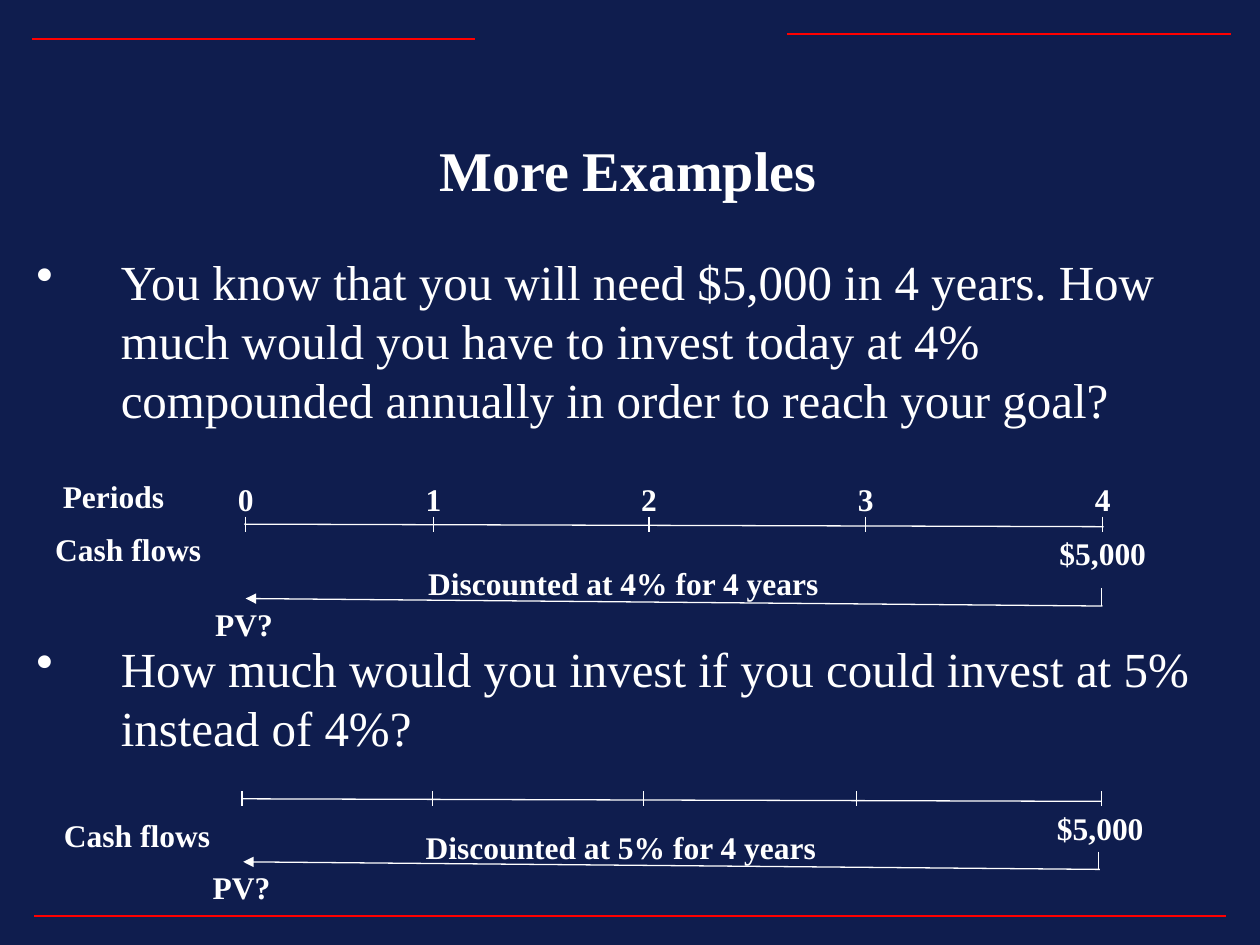
import pptx
import pptx.dml.color
import pptx.enum.shapes
import pptx.enum.text
import pptx.oxml.ns
import pptx.util
from lxml import etree

Inches = pptx.util.Inches
Pt = pptx.util.Pt
qn = pptx.oxml.ns.qn
ALIGN = pptx.enum.text.PP_ALIGN
HUES = {"back": "0F1D4E", "text": "FFFFFF", "rule": "FF0000"}
FACE = "Times New Roman"


def hue(name):
    """Return the named colour."""
    return pptx.dml.color.RGBColor.from_string(HUES[name])


def write(slide, text, box, size=18, bold=True, align=ALIGN.LEFT,
          wrap=False, bullet=False, gap=0):
    """Place a text box, one paragraph a line, at left, top, width, height."""
    shape = slide.shapes.add_textbox(*map(Inches, box))
    frame = shape.text_frame
    frame.word_wrap = wrap
    frame.auto_size = pptx.enum.text.MSO_AUTO_SIZE.SHAPE_TO_FIT_TEXT
    frame.text = text
    for i, para in enumerate(frame.paragraphs):
        para.alignment = align
        if i:
            para.space_before = Pt(gap)
        if bullet:
            props = para._p.get_or_add_pPr()
            props.set("marL", str(Inches(0.67)))
            props.set("indent", str(-Inches(0.67)))
            etree.SubElement(props, qn("a:buChar")).set("char", "•")
        font = para.font
        font.name, font.size, font.bold = FACE, Pt(size), bold
        font.color.rgb = hue("text")
    return shape


def draw(slide, start, end, color="text", arrow=False):
    """Draw a thin line between two points."""
    line = slide.shapes.add_connector(
        pptx.enum.shapes.MSO_CONNECTOR.STRAIGHT, *map(Inches, start + end))
    line.line.color.rgb = hue(color)
    line.line.width = Pt(0.75)
    if arrow:
        tail = etree.SubElement(line.line._get_or_add_ln(), qn("a:tailEnd"))
        tail.set("type", "triangle")
    etree.SubElement(line._element.spPr, qn("a:effectLst"))


def rules(slide):
    """Draw the red rules at the edges of the slide."""
    for left, right, top in ((0.25, 3.77, 0.31), (6.25, 9.77, 0.27),
                             (0.27, 9.73, 7.27)):
        draw(slide, (right, top), (left, top), color="rule")


def chart(slide, left, top, ticks, rate, depth, flow):
    """Draw a discount time line whose axis starts at left, top."""
    draw(slide, (left, top), (left + 6.82, top + 0.02))
    for tick in ticks:
        draw(slide, (left + tick, top - 0.06), (left + tick, top + 0.06))
    base = top + depth
    draw(slide, (left + 6.81, base), (left + 0.01, base - 0.06), arrow=True)
    draw(slide, (left + 6.8, base - 0.14), (left + 6.8, base))
    labels = (
        ("Cash flows", left + flow[0], top + flow[1], 1.36),
        ("$5,000", left + 6.37, top + 0.03, 0.89),
        (f"Discounted at {rate}% for 4 years", left + 1.36, base - 0.38, 3.3),
        ("PV?", left - 0.33, base - 0.06, 0.66),
    )
    for text, x, y, width in labels:
        write(slide, text, (x, y, width, 0.4))


def heads(slide, left, top, ticks):
    """Number the periods above the ticks of a time line."""
    write(slide, "Periods", (left - 1.54, top - 0.42, 1.1, 0.4))
    for num, tick in enumerate(ticks):
        write(slide, str(num), (left + tick - 0.16, top - 0.4, 0.32, 0.4))


def main():
    """Build and save the slide."""
    deck = pptx.Presentation()
    deck.slide_width, deck.slide_height = Inches(10), Inches(7.5)
    slide = deck.slides.add_slide(deck.slide_layouts[6])
    fill = slide.background.fill
    fill.solid()
    fill.fore_color.rgb = hue("back")
    rules(slide)
    write(slide, "More Examples", (0.28, 1.03, 9.41, 0.64), size=32,
          align=ALIGN.CENTER, wrap=True)
    write(slide,
          "You know that you will need $5,000 in 4 years. How much would you "
          "have to invest today at 4% compounded annually in order to reach "
          "your goal?\nHow much would you invest if you could invest at 5% "
          "instead of 4%?",
          (0.19, 1.95, 9.59, 4.1), size=28, bold=False, wrap=True,
          bullet=True, gap=120)
    ticks = (0.01, 1.5, 3.21, 4.93, 6.81)
    heads(slide, 1.94, 4.16, ticks)
    chart(slide, 1.94, 4.16, ticks, 4, 0.65, (-1.6, 0))
    chart(slide, 1.92, 6.34, (0, 1.51, 3.19, 4.88, 6.82), 5, 0.56,
          (-1.51, 0.09))
    deck.save("out.pptx")


if __name__ == "__main__":
    main()
